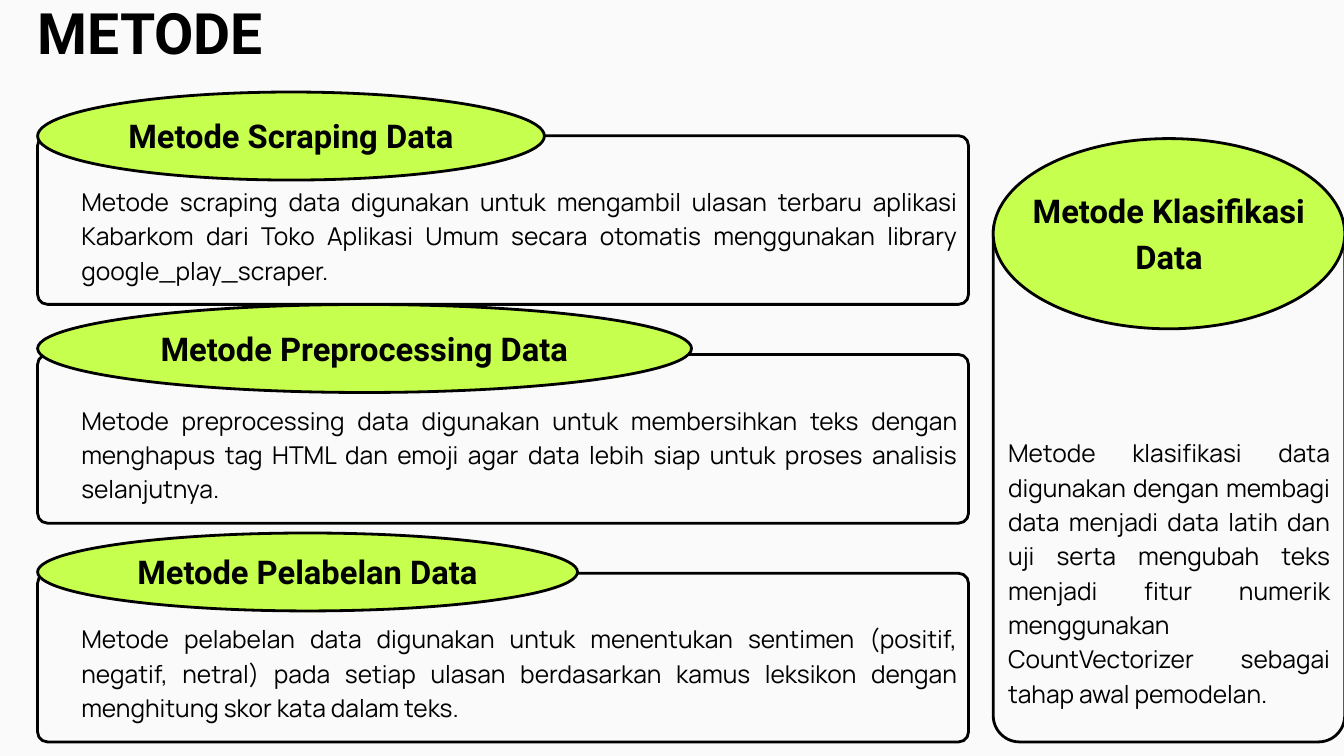
"""Build the METODE slide: four method cards, each with an oval heading and a description."""
import pptx
import pptx.dml.color
import pptx.enum.shapes
import pptx.enum.text
import pptx.util

Pt = pptx.util.Pt
Align = pptx.enum.text.PP_ALIGN
Anchor = pptx.enum.text.MSO_ANCHOR
Shape = pptx.enum.shapes.MSO_SHAPE

TITLE = "METODE"
STACKED_METHODS = [
    {
        "heading": "Metode Scraping Data",
        "text": "Metode scraping data digunakan untuk mengambil ulasan terbaru aplikasi "
                "Kabarkom dari Toko Aplikasi Umum secara otomatis menggunakan library "
                "google_play_scraper.",
        "oval": (98.6, 543, 94.3),
    },
    {
        "heading": "Metode Preprocessing Data",
        "text": "Metode preprocessing data digunakan untuk membersihkan teks dengan "
                "menghapus tag HTML dan emoji agar data lebih siap untuk proses analisis "
                "selanjutnya.",
        "oval": (326.2, 700.6, 94.3),
    },
    {
        "heading": "Metode Pelabelan Data",
        "text": "Metode pelabelan data digunakan untuk menentukan sentimen (positif, "
                "negatif, netral) pada setiap ulasan berdasarkan kamus leksikon dengan "
                "menghitung skor kata dalam teks.",
        "oval": (571.1, 578.5, 83.5),
    },
]
SIDE_METHOD = {
    "heading": "Metode Klasifikasi Data",
    "text": "Metode klasifikasi data digunakan dengan membagi data menjadi data latih "
            "dan uji serta mengubah teks menjadi fitur numerik menggunakan "
            "CountVectorizer sebagai tahap awal pemodelan.",
    "oval": (148.5, 376.6, 203.8),
}

THEME = {
    "paper": "FAFAFA",
    "ink": "000000",
    "accent": "C6FF4D",
    "line": 3,
    "title": {"font": "Roboto", "size": 61.1, "bold": True, "spacing": 64.7, "align": Align.LEFT},
    "heading": {"font": "Roboto", "size": 35, "bold": True, "spacing": 49, "align": Align.CENTER},
    "body": {"font": "Manrope", "size": 26.3, "bold": False, "spacing": 36.8, "align": Align.JUSTIFY},
}

LEFT = 40.3
STACK_TOP, STACK_PITCH = 145.4, 234.4
STACK_CARD = (997.4, 180.7)
STACK_TEXT = (46.8, 49.6, 938.2, 109.4)
STACK_RADIUS = 10.6
SIDE_CARD = (1064.2, 220.3, 376.6, 574.6)
SIDE_TEXT = (15.8, 244.1, 344.9, 293)
SIDE_RADIUS = 28.2
LABEL_INSET, LABEL_HEIGHT, LABEL_LIFT = 0.094, 0.88, 4


def color(name):
    return pptx.dml.color.RGBColor.from_string(THEME[name])


def place(shape, box):
    shape.left, shape.top, shape.width, shape.height = (Pt(length) for length in box)


def write(shape, text, style_name, anchor=Anchor.TOP):
    style = THEME[style_name]
    frame = shape.text_frame
    frame.text = text
    frame.word_wrap = True
    frame.auto_size = pptx.enum.text.MSO_AUTO_SIZE.NONE
    frame.vertical_anchor = anchor
    frame.margin_left = frame.margin_right = frame.margin_top = frame.margin_bottom = 0
    paragraph = frame.paragraphs[0]
    paragraph.alignment = style["align"]
    paragraph.line_spacing = Pt(style["spacing"])
    paragraph.space_before = Pt(0)
    font = paragraph.runs[0].font
    font.name, font.size, font.bold = style["font"], Pt(style["size"]), style["bold"]
    font.color.rgb = color("ink")


def add_outlined(slide, kind, box, fill):
    shape = slide.shapes.add_shape(kind, *(Pt(length) for length in box))
    shape.shadow.inherit = False
    shape.fill.solid()
    shape.fill.fore_color.rgb = color(fill)
    shape.line.color.rgb = color("ink")
    shape.line.width = Pt(THEME["line"])
    return shape


def add_text(slide, box, text, style_name, anchor=Anchor.TOP):
    text_box = slide.shapes.add_textbox(*(Pt(length) for length in box))
    write(text_box, text, style_name, anchor)


def add_method(slide, method, card_box, text_box, radius):
    left, top, width, height = card_box
    card = add_outlined(slide, Shape.ROUNDED_RECTANGLE, card_box, "paper")
    card.adjustments[0] = radius / min(width, height)

    oval_top, oval_width, oval_height = method["oval"]
    add_outlined(slide, Shape.OVAL, (left, oval_top, oval_width, oval_height), "accent")
    inset = LABEL_INSET * oval_width
    label_height = LABEL_HEIGHT * oval_height
    label_top = oval_top + (oval_height - label_height) / 2 - LABEL_LIFT
    label_box = (left + inset, label_top, oval_width - 2 * inset, label_height)
    add_text(slide, label_box, method["heading"], "heading", Anchor.MIDDLE)

    offset_x, offset_y, text_width, text_height = text_box
    add_text(slide, (left + offset_x, top + offset_y, text_width, text_height), method["text"], "body")


def main():
    presentation = pptx.Presentation()
    presentation.slide_width, presentation.slide_height = Pt(1440), Pt(810)
    slide = presentation.slides.add_slide(presentation.slide_layouts[5])
    slide.background.fill.solid()
    slide.background.fill.fore_color.rgb = color("paper")

    place(slide.shapes.title, (LEFT, 5.8, 804.2, 67))
    write(slide.shapes.title, TITLE, "title")

    for index, method in enumerate(STACKED_METHODS):
        card_box = (LEFT, STACK_TOP + index * STACK_PITCH, *STACK_CARD)
        add_method(slide, method, card_box, STACK_TEXT, STACK_RADIUS)
    add_method(slide, SIDE_METHOD, SIDE_CARD, SIDE_TEXT, SIDE_RADIUS)

    presentation.save("out.pptx")


if __name__ == "__main__":
    main()
